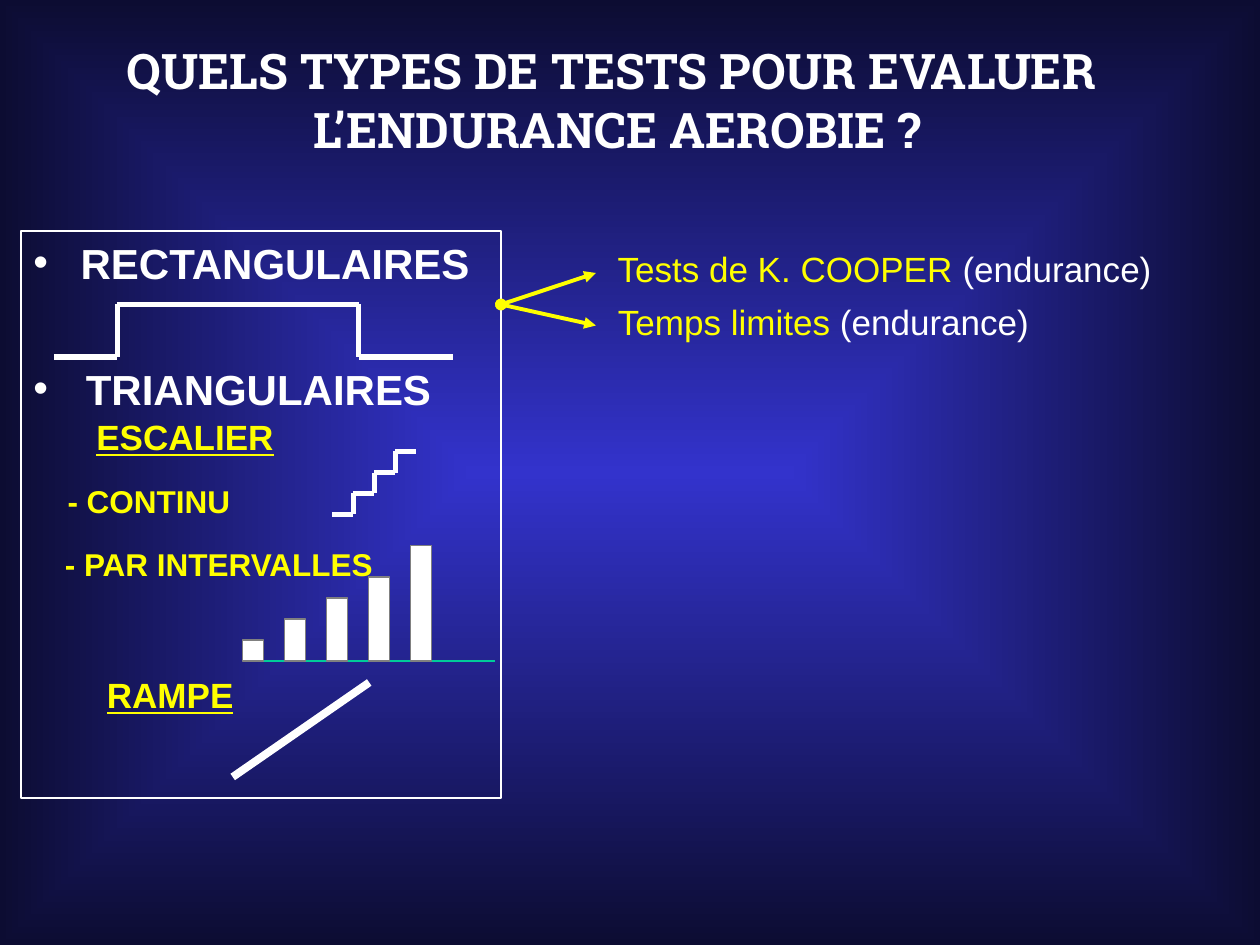
"""Build the slide on types of tests for aerobic endurance."""
from itertools import pairwise
from lxml import etree
from pptx import Presentation
from pptx.dml.color import RGBColor
from pptx.enum import shapes, text
from pptx.oxml import ns
from pptx.util import Pt

WHITE, YELLOW, GREY, GREEN = "FFFFFF", "FFFF00", "808080", "00CC99"
BACKGROUND = ("3333CC", "0C0C32")
TITLE = "QUELS TYPES DE TESTS POUR EVALUER \vL’ENDURANCE AEROBIE ?"
HEADING = {"size": Pt(24), "bold": True}
SUBHEADING = {"size": Pt(20), "bold": True, "underline": True}
ITEM = {"size": Pt(18), "bold": True}
TEST = {"size": Pt(20)}

PANEL = (12, 132, 274.25, 324)
LABELS = [
    ("TRIANGULAIRES", (12, 204, 288, 36), HEADING, 30),
    ("ESCALIER", (48, 234, 156, 32), SUBHEADING, 0),
    ("- CONTINU", (31.5, 272, 112, 29), ITEM, 0),
    ("- PAR INTERVALLES", (30, 308, 197, 29), ITEM, 0),
    ("RAMPE", (54, 381.5, 92, 32), SUBHEADING, 0),
]
TESTS = [
    ("Tests de K. COOPER ", (345.8, 138, 326, 32), 156),
    ("Temps limites ", (346, 168, 255, 32), 186),
]
NOTE = "(endurance)"
PLATEAU = [(31, 204), (67, 204), (67, 174), (205, 174), (205, 204), (259, 204)]
STAIR_START, STAIR_STEP, STAIR_COUNT = (190, 294), 12, 4
BAR_HEIGHTS = [12, 24, 36, 48, 66]
BAR_LEFT, BAR_PITCH, BAR_WIDTH, BASELINE = 138.75, 24, 12, 377.75
RAMP = [(133, 444), (211, 390)]
ARROW_START, ARROW_END = (286.25, 174), 340.5


def rgb(value):
    return RGBColor.from_string(value)


def add_xml(parent, tag, **attributes):
    return etree.SubElement(parent, ns.qn(tag), attributes)


def paint_background(slide):
    fill = slide.background.fill
    fill.gradient()
    for stop, color, position in zip(fill.gradient_stops, BACKGROUND, (0, 1)):
        stop.color.rgb = rgb(color)
        stop.position = position
    gradient = slide.background._cSld.find(".//" + ns.qn("a:gradFill"))
    gradient.remove(gradient.find(ns.qn("a:lin")))
    path = add_xml(gradient, "a:path", path="rect")
    add_xml(path, "a:fillToRect", l="50000", t="50000", r="50000", b="50000")


def add_rectangle(slide, box, line, fill=None):
    rectangle = slide.shapes.add_shape(shapes.MSO_SHAPE.RECTANGLE, *map(Pt, box))
    rectangle.shadow.inherit = False
    if fill:
        rectangle.fill.solid()
        rectangle.fill.fore_color.rgb = rgb(fill)
    else:
        rectangle.fill.background()
    rectangle.line.color.rgb = rgb(line)
    rectangle.line.width = Pt(0.75)
    return rectangle


def apply_formats(font, formats):
    for name, value in formats.items():
        setattr(font, name, value)


def write(frame, runs, formats, face="Arial", indent=0, **layout):
    settings = {"word_wrap": True, "vertical_anchor": text.MSO_ANCHOR.TOP, **layout}
    for name, value in settings.items():
        setattr(frame, name, value)
    formats = {"name": face, **formats}
    paragraph = frame.paragraphs[0]
    paragraph.alignment = text.PP_ALIGN.LEFT
    if indent:
        properties = paragraph._p.get_or_add_pPr()
        properties.set("marL", str(Pt(indent)))
        properties.set("indent", str(-Pt(indent)))
        add_xml(add_xml(properties, "a:buClr"), "a:srgbClr", val=WHITE)
        add_xml(properties, "a:buFont", typeface=face)
        add_xml(properties, "a:buChar", char="•")
    apply_formats(paragraph.font, formats)
    for words, color in runs:
        for number, part in enumerate(words.split("\v")):
            if number:
                paragraph.add_line_break()
            run = paragraph.add_run()
            run.text = part
            run.font.color.rgb = rgb(color)
            apply_formats(run.font, formats)
    return paragraph


def add_text(slide, box, *args, **options):
    label = slide.shapes.add_textbox(*map(Pt, box))
    return write(label.text_frame, *args, **options)


def add_lines(tree, points, color, width, arrow=False):
    for start, end in pairwise(points):
        line = tree.add_connector(shapes.MSO_CONNECTOR.STRAIGHT, *map(Pt, start + end))
        line.line.color.rgb = rgb(color)
        line.line.width = Pt(width)
        if arrow:
            outline = line.line._get_or_add_ln()
            add_xml(outline, "a:headEnd", type="oval")
            add_xml(outline, "a:tailEnd", type="triangle")
        add_xml(line._element.spPr, "a:effectLst")


def stair_points():
    x, y = STAIR_START
    points = []
    for step in range(STAIR_COUNT):
        rise = y - step * STAIR_STEP
        points += [(x + (step + side) * STAIR_STEP, rise) for side in (0, 1)]
    return points


def main():
    deck = Presentation()
    deck.slide_width, deck.slide_height = Pt(720), Pt(540)
    slide = deck.slides.add_slide(deck.slide_layouts[6])
    paint_background(slide)

    title = add_text(slide, (0, 18, 705.6, 78), [(TITLE, WHITE)],
                     {"size": Pt(28), "bold": True}, face="Roboto Slab",
                     vertical_anchor=text.MSO_ANCHOR.MIDDLE)
    title.alignment = text.PP_ALIGN.CENTER

    panel = add_rectangle(slide, PANEL, WHITE)
    write(panel.text_frame, [("RECTANGULAIRES", WHITE)], HEADING, indent=27)
    fit = {"auto_size": text.MSO_AUTO_SIZE.SHAPE_TO_FIT_TEXT}
    for label, box, formats, indent in LABELS:
        color = WHITE if indent else YELLOW
        add_text(slide, box, [(label, color)], formats, indent=indent, **fit)

    for profile in (PLATEAU, stair_points()):
        add_lines(slide.shapes.add_group_shape().shapes, profile, WHITE, 3)
    add_lines(slide.shapes, [(145, BASELINE), (283, BASELINE)], GREEN, 0.75)
    for number, height in enumerate(BAR_HEIGHTS):
        left = BAR_LEFT + number * BAR_PITCH
        add_rectangle(slide, (left, BASELINE - height, BAR_WIDTH, height), GREY, WHITE)
    add_lines(slide.shapes, RAMP, WHITE, 4.5)

    for test, box, arrow_y in TESTS:
        add_lines(slide.shapes, [ARROW_START, (ARROW_END, arrow_y)], YELLOW, 2.25, True)
        add_text(slide, box, [(test, YELLOW), (NOTE, WHITE)], TEST, **fit)
    deck.save("out.pptx")


if __name__ == "__main__":
    main()
